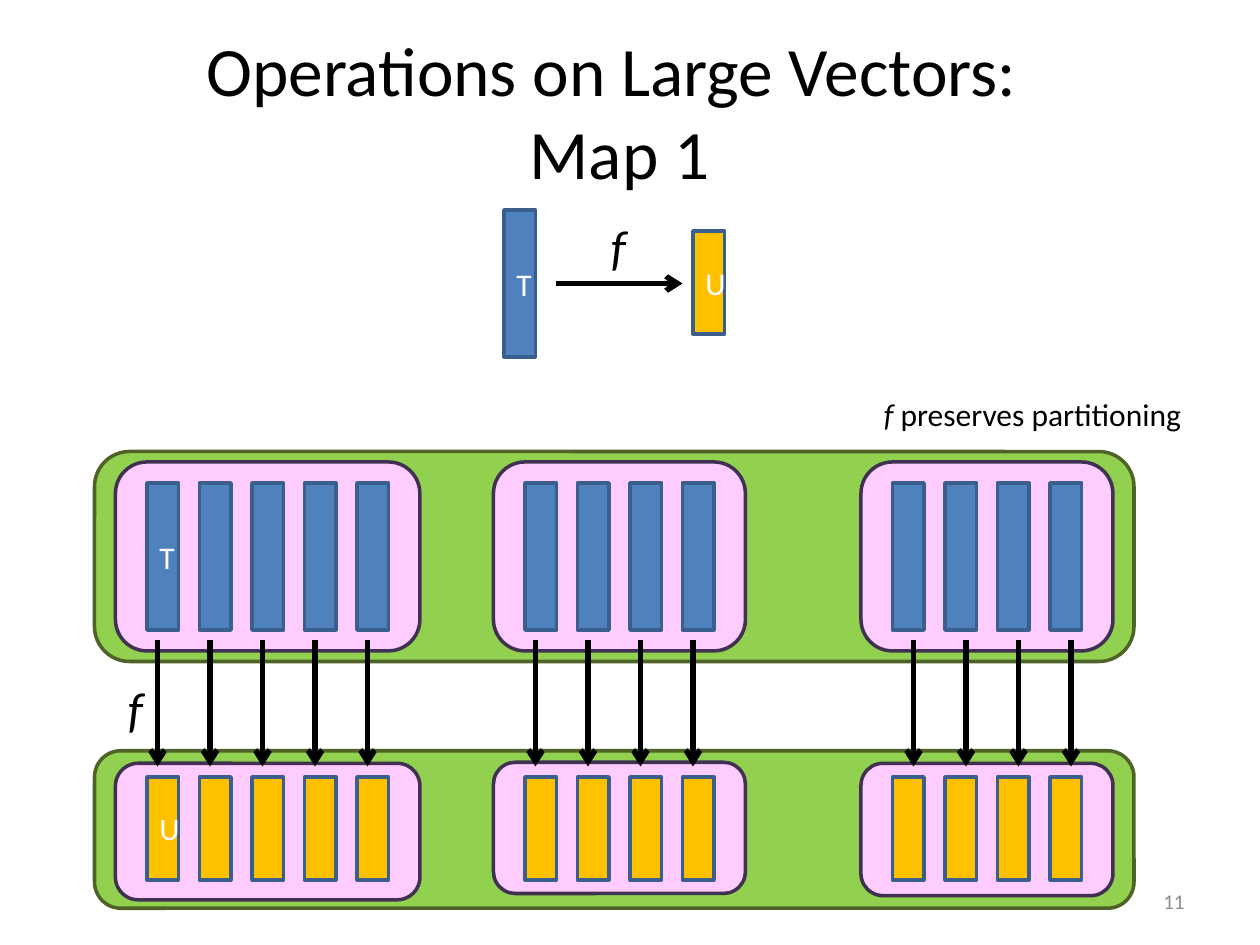
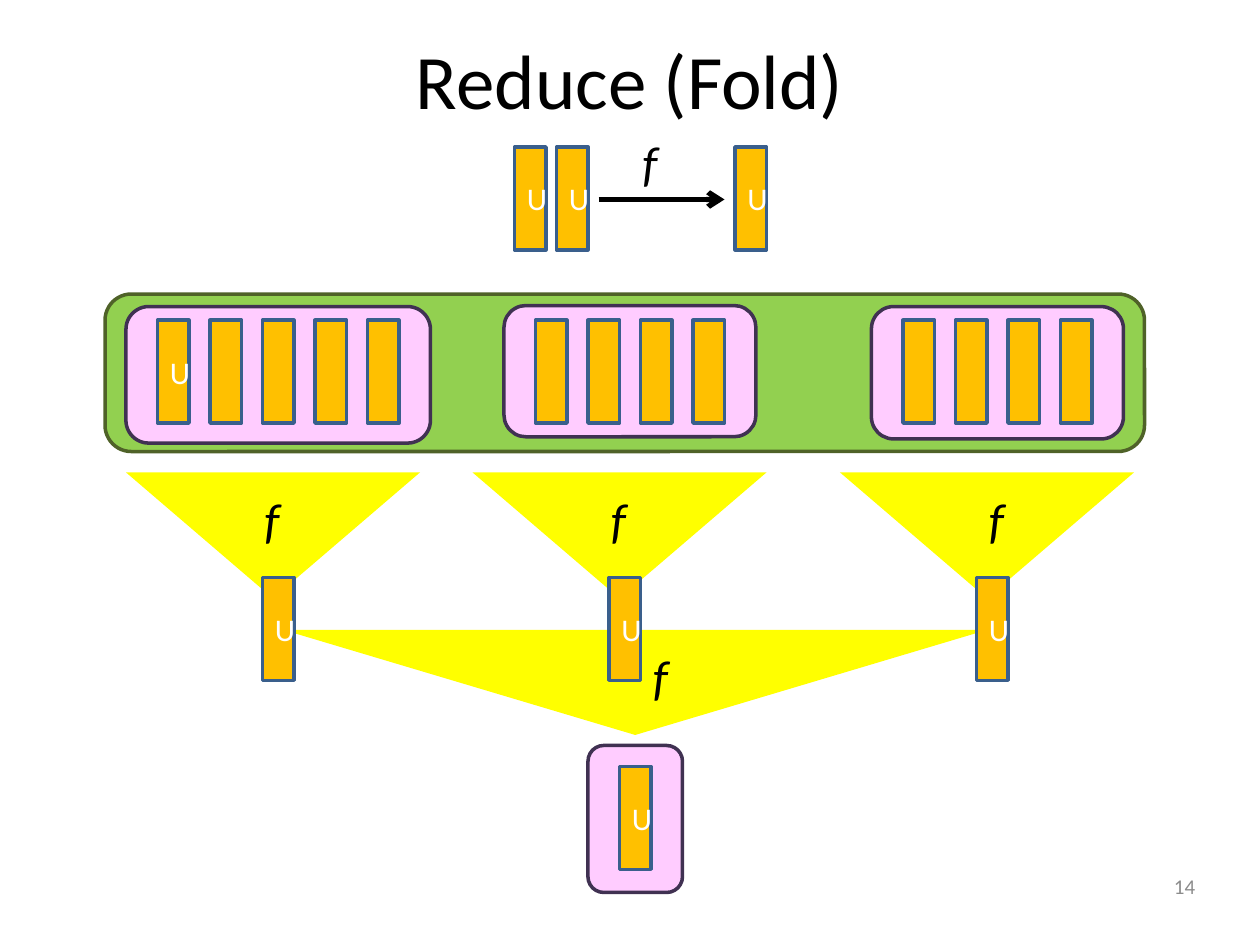
from dataclasses import dataclass

from lxml.etree import SubElement
from pptx import Presentation
from pptx.dml.color import RGBColor
from pptx.enum.shapes import MSO_CONNECTOR, MSO_SHAPE
from pptx.enum.text import MSO_ANCHOR, MSO_AUTO_SIZE, PP_ALIGN
from pptx.oxml.ns import qn
from pptx.util import Emu, Pt

EMU_PER_PX = 7620
TITLE_ONLY_LAYOUT = 5


@dataclass(frozen=True)
class Theme:
    font: str = "Calibri"
    ink: str = "000000"
    bar_text: str = "FFFFFF"
    page_number: str = "8C8C8C"
    vector: tuple = ("92D050", "4F6228")
    partition: tuple = ("FFCCFF", "403152")
    input_bar: tuple = ("4F81BD", "3A5F8C")
    output_bar: tuple = ("FFC000", "3A5F8C")
    funnel: tuple = ("FFFF00", None)
    title_size: float = 44
    long_title_size: float = 39.6
    function_size: float = 28
    label_size: float = 18
    number_size: float = 12
    outline: float = 2
    arrow: float = 3


@dataclass(frozen=True)
class Element:
    name: str
    colours: tuple
    height: int
    band_height: int
    bar_offset: int
    partition_offsets: tuple
    partition_heights: tuple


THEME = Theme()
INPUT = Element("T", THEME.input_bar, 140, 200, 30, (10, 10, 10), (180, 180, 180))
OUTPUT = Element("U", THEME.output_bar, 98, 150, 25, (12, 11, 12), (130, 125, 126))

VECTOR_WIDTH = 990
PARTITION_LEFTS = (20, 380, 730)
BAR_COUNTS = (5, 4, 4)
BAR_WIDTH = 30
BAR_PITCH = 50
BAR_MARGIN = 30


def px(*lengths):
    return [Emu(length * EMU_PER_PX) for length in lengths]


def apply_format(target, values):
    for name, value in values.items():
        setattr(target, name, value)


class Deck:
    def __init__(self, theme):
        self.theme = theme
        self.presentation = Presentation()
        width, height = px(1200, 900)
        apply_format(self.presentation, {"slide_width": width, "slide_height": height})
        self.slide = None

    def add_slide(self, title, title_box, title_size, number, number_corner):
        layout = self.presentation.slide_layouts[TITLE_ONLY_LAYOUT]
        self.slide = self.presentation.slides.add_slide(layout)
        shape = self.slide.shapes.title
        apply_format(shape, dict(zip(("left", "top", "width", "height"), px(*title_box))))
        shape.text_frame.text = title
        apply_format(shape.text_frame, {
            "auto_size": MSO_AUTO_SIZE.NONE,
            "vertical_anchor": MSO_ANCHOR.MIDDLE,
        })
        paragraph = shape.text_frame.paragraphs[0]
        paragraph.alignment = PP_ALIGN.CENTER
        self.style_font(paragraph.font, title_size, self.theme.ink)
        self.page_number(number, *number_corner)

    def style_font(self, font, size, colour, italic=False):
        apply_format(font, {"name": self.theme.font, "size": Pt(size), "italic": italic})
        font.color.rgb = RGBColor.from_string(colour)

    def text(self, box, runs, size, colour, frame_format, alignment=PP_ALIGN.LEFT):
        shape = self.slide.shapes.add_textbox(*px(*box))
        apply_format(shape.text_frame, frame_format)
        paragraph = shape.text_frame.paragraphs[0]
        paragraph.alignment = alignment
        for content, italic in runs:
            run = paragraph.add_run()
            run.text = content
            self.style_font(run.font, size, colour, italic)

    def page_number(self, number, left, top):
        frame_format = {"word_wrap": True, "vertical_anchor": MSO_ANCHOR.MIDDLE}
        self.text((left, top, 280, 48), [(number, False)], self.theme.number_size,
                  self.theme.page_number, frame_format, PP_ALIGN.RIGHT)

    def label(self, box, runs, size):
        frame_format = {"word_wrap": False, "auto_size": MSO_AUTO_SIZE.SHAPE_TO_FIT_TEXT}
        self.text(box, runs, size, self.theme.ink, frame_format)

    def function(self, left, top):
        self.label((left, top, 38, 68), [("f", True)], self.theme.function_size)

    def shape(self, kind, box, colours):
        shape = self.slide.shapes.add_shape(kind, *px(*box))
        shape.shadow.inherit = False
        fill, outline = colours
        shape.fill.solid()
        shape.fill.fore_color.rgb = RGBColor.from_string(fill)
        if outline:
            shape.line.color.rgb = RGBColor.from_string(outline)
            shape.line.width = Pt(self.theme.outline)
        else:
            shape.line.fill.background()
        return shape

    def partition(self, *box):
        self.shape(MSO_SHAPE.ROUNDED_RECTANGLE, box, self.theme.partition)

    def bar(self, element, left, top, named=True):
        box = (left, top, BAR_WIDTH, element.height)
        shape = self.shape(MSO_SHAPE.RECTANGLE, box, element.colours)
        if named:
            shape.text_frame.text = element.name
            paragraph = shape.text_frame.paragraphs[0]
            paragraph.alignment = PP_ALIGN.CENTER
            self.style_font(paragraph.runs[0].font, self.theme.label_size,
                            self.theme.bar_text)

    def vector(self, element, left, top):
        box = (left, top, VECTOR_WIDTH, element.band_height)
        self.shape(MSO_SHAPE.ROUNDED_RECTANGLE, box, self.theme.vector)
        partitions = zip(PARTITION_LEFTS, BAR_COUNTS, element.partition_offsets,
                         element.partition_heights)
        for index, (partition_left, count, offset, height) in enumerate(partitions):
            start = left + partition_left
            width = count * BAR_PITCH + 40
            self.partition(start, top + offset, width, height)
            for position in range(count):
                self.bar(element, start + BAR_MARGIN + position * BAR_PITCH,
                         top + element.bar_offset, named=index == position == 0)

    def funnel(self, *box):
        shape = self.shape(MSO_SHAPE.ISOSCELES_TRIANGLE, box, self.theme.funnel)
        shape._element.spPr.find(qn("a:xfrm")).set("flipV", "1")

    def arrow(self, *ends):
        connector = self.slide.shapes.add_connector(MSO_CONNECTOR.STRAIGHT, *px(*ends))
        connector.line.color.rgb = RGBColor.from_string(self.theme.ink)
        connector.line.width = Pt(self.theme.arrow)
        SubElement(connector.line._get_or_add_ln(), qn("a:tailEnd"), type="arrow")
        SubElement(connector._element.spPr, qn("a:effectLst"))


def build_map(deck):
    deck.add_slide("Operations on Large Vectors: \vMap 1", (50, 30, 1080, 150),
                   deck.theme.long_title_size, "11", (860, 834))
    deck.vector(OUTPUT, 90, 715)
    deck.vector(INPUT, 90, 430)
    deck.bar(INPUT, 480, 200)
    deck.bar(OUTPUT, 660, 220)
    deck.arrow(530, 270, 650, 270)
    for start, count in zip((150, 510, 870), BAR_COUNTS):
        for position in range(count):
            left = start + position * BAR_PITCH
            deck.arrow(left, 610, left, 730)
    deck.function(570, 200)
    deck.function(110, 640)
    deck.label((830, 370, 316, 48), [("f", True), (" preserves partitioning", False)],
               deck.theme.label_size)


def build_reduce(deck):
    deck.add_slide("Reduce (Fold)", (60, 0, 1080, 150), deck.theme.title_size,
                   "14", (870, 820))
    for left in (490, 530, 700):
        deck.bar(OUTPUT, left, 140)
    deck.arrow(570, 190, 690, 190)
    deck.function(600, 120)
    deck.vector(OUTPUT, 100, 280)
    for left in (120, 450, 800):
        deck.funnel(left, 450, 280, 120)
    deck.funnel(270, 600, 670, 100)
    for function_left, result_left in ((240, 250), (570, 580), (930, 930)):
        deck.function(function_left, 460)
        deck.bar(OUTPUT, result_left, 550)
    deck.function(610, 610)
    deck.partition(560, 710, 90, 140)
    deck.bar(OUTPUT, 590, 730)


def main():
    deck = Deck(THEME)
    build_map(deck)
    build_reduce(deck)
    deck.presentation.save("out.pptx")


if __name__ == "__main__":
    main()
